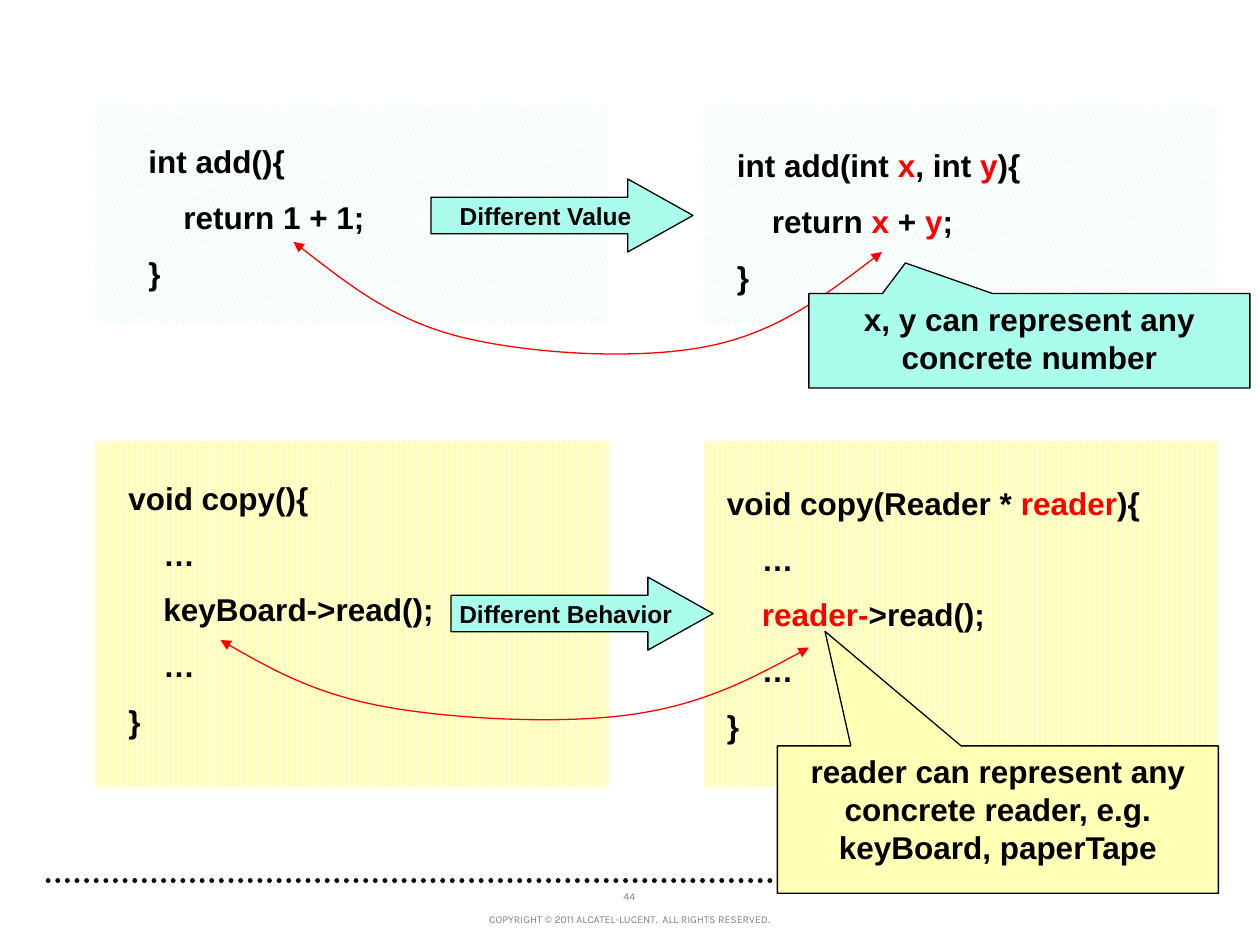
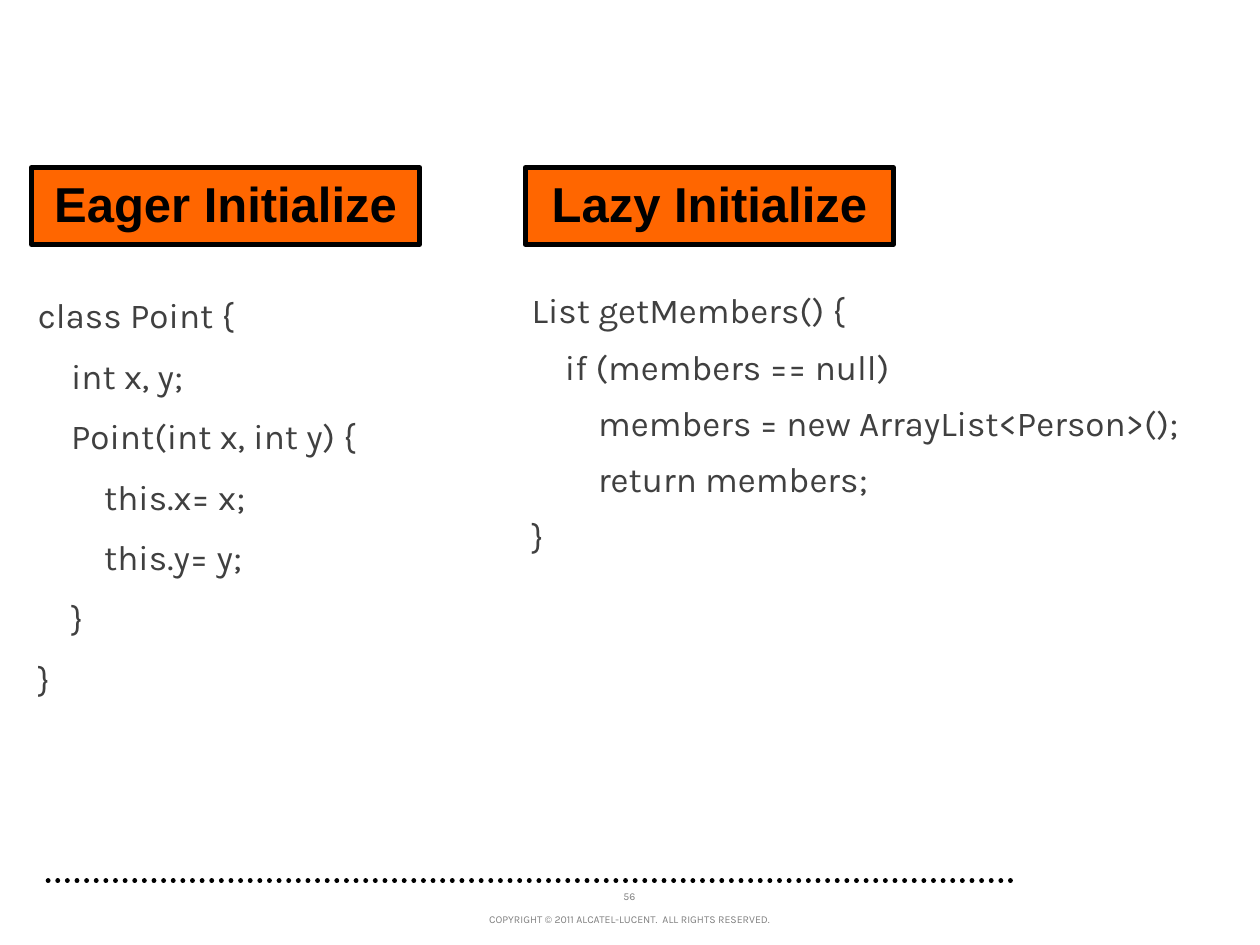
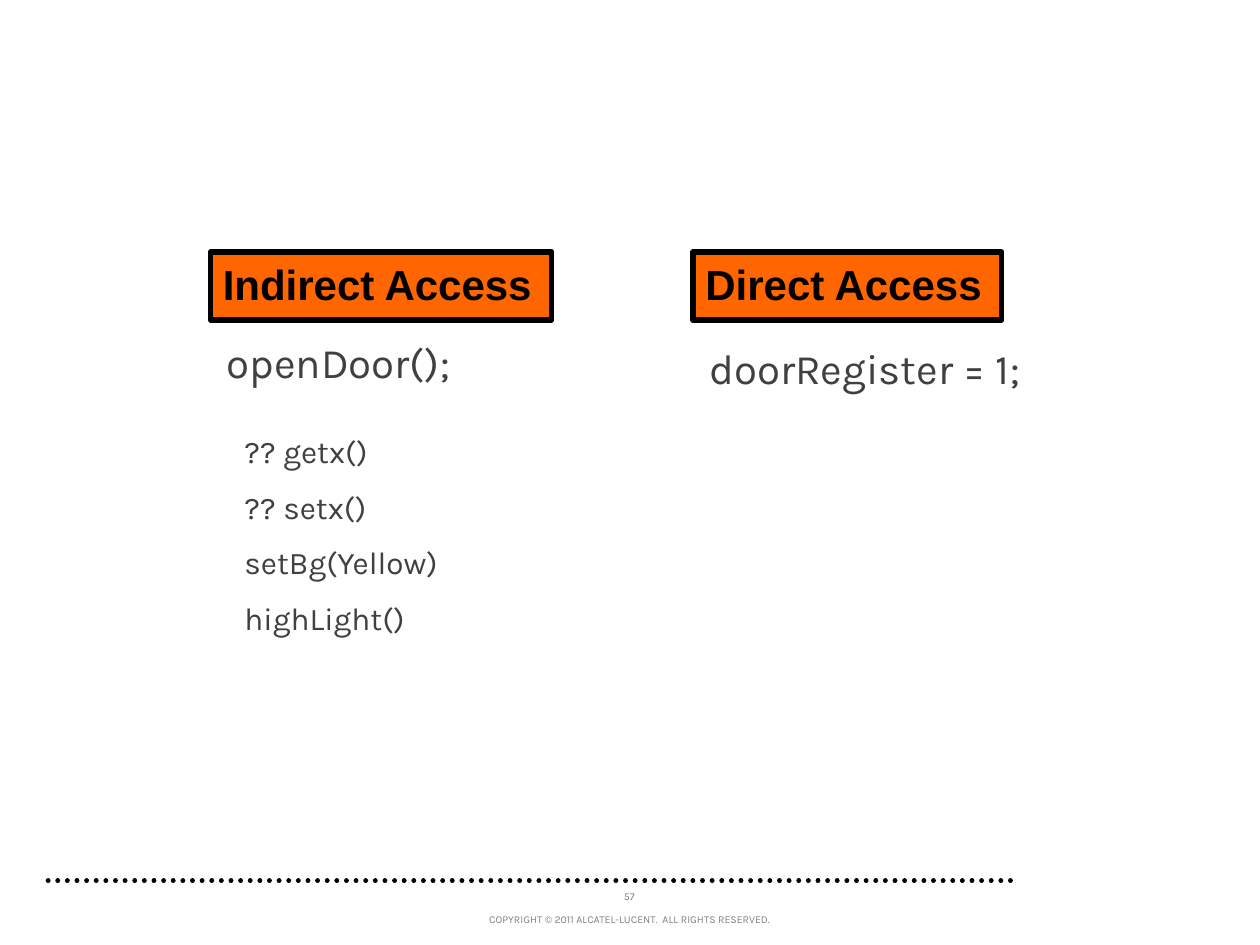
from dataclasses import dataclass

from lxml.etree import SubElement
from pptx import Presentation
from pptx.dml.color import RGBColor
from pptx.enum.dml import MSO_LINE as Dash, MSO_PATTERN as Pattern
from pptx.enum.shapes import MSO_CONNECTOR as Link, MSO_SHAPE as Kind
from pptx.enum.text import MSO_ANCHOR as Anchor, MSO_AUTO_SIZE as Fit, PP_ALIGN as Align
from pptx.oxml.ns import qn
from pptx.util import Inches, Pt


@dataclass(frozen=True)
class Theme:
    black: str = "000000"
    white: str = "FFFFFF"
    red: str = "FF0000"
    aqua: str = "AAFCEC"
    cream: str = "FFFFB5"
    orange: str = "FF6600"
    ink: str = "404040"
    gray: str = "808080"
    bold: str = "Arial"
    plain: str = "Karla"
    tiny: int = 6
    label: int = 14
    code: int = 18
    text: int = 20
    head: int = 24
    big: int = 28
    thin: float = 0.75
    dots: float = 2.75
    thick: int = 3


LEGAL = "COPYRIGHT © 2011 ALCATEL-LUCENT.  ALL RIGHTS RESERVED."
BARE = (0.05, 0, 0, 0)
PAD = (0.1, 0.05, 0.1, 0.05)


def rgb(code):
    return RGBColor.from_string(code)


def span(*sizes):
    return [Inches(size) for size in sizes]


def write(frame, lines, size, color, font, accent=None, bold=False, align=Align.LEFT,
          anchor=Anchor.TOP, gap=0, after=0, lead=None, wrap=True, inset=PAD):
    """Fill a frame, one paragraph a line; parts between bars take the accent."""
    frame.auto_size = Fit.NONE
    frame.word_wrap = wrap
    frame.vertical_anchor = anchor
    (frame.margin_left, frame.margin_top,
     frame.margin_right, frame.margin_bottom) = span(*inset)
    for i, line in enumerate(lines):
        para = frame.add_paragraph() if i else frame.paragraphs[0]
        para.alignment = align
        para.space_before = Pt(gap if i else 0)
        para.space_after = Pt(after)
        if lead:
            para.line_spacing = lead
        for j, part in enumerate(line.split("|")):
            if part:
                run = para.add_run()
                run.text = part
                run.font.size = Pt(size)
                run.font.name = font
                run.font.bold = bold
                run.font.color.rgb = rgb(accent if j % 2 else color)


class Deck:
    def __init__(self, theme):
        self.theme = theme
        self.prs = Presentation()
        self.prs.slide_width, self.prs.slide_height = span(10, 7.5)
        self.slide = None

    def page(self, number, layout="Blank"):
        """Start a slide with its dotted rule, number and copyright line."""
        t = self.theme
        self.slide = self.prs.slides.add_slide(self.prs.slide_layouts.get_by_name(layout))
        title = self.slide.shapes.title
        if title is not None:
            title.element.getparent().remove(title.element)
        self.rule(8.02, 0.34, 6.99)
        foot = dict(size=t.tiny, color=t.gray, font=t.plain, align=Align.CENTER)
        self.box((4.73, 6.95, 0.53, 0.26), [str(number)], anchor=Anchor.BOTTOM, **foot)
        self.box((1.49, 7.2, 7.01, 0.25), [LEGAL], **foot)

    def rule(self, start, end, y):
        t = self.theme
        rule = self.slide.shapes.add_connector(Link.STRAIGHT, *span(start, y, end, y))
        rule.line.color.rgb = rgb(t.black)
        rule.line.width = Pt(t.dots)
        rule.line.dash_style = Dash.ROUND_DOT
        props = rule.element.spPr
        props.find(qn("a:ln")).set("cap", "rnd")
        SubElement(props, qn("a:effectLst"))

    def box(self, at, lines, **form):
        write(self.slide.shapes.add_textbox(*span(*at)).text_frame, lines, **form)

    def code(self, at, lines):
        t = self.theme
        self.box(at, lines, size=t.code, color=t.black, accent=t.red,
                 font=t.bold, bold=True, gap=10.3)

    def look(self, size):
        """Format of the light listings."""
        t = self.theme
        return dict(size=size, color=t.ink, font=t.plain, gap=round(size * 0.23, 1),
                    after=6, inset=BARE)

    def note(self, at, lines, size, **form):
        self.box(at, lines, **self.look(size), **form)

    def body(self, at, lines, size):
        holder = self.slide.placeholders[1]
        holder.left, holder.top, holder.width, holder.height = span(*at)
        write(holder.text_frame, lines, **self.look(size))
        for para in holder.text_frame.paragraphs:
            props = para._p.get_or_add_pPr()
            props.set("marL", "0")
            props.set("indent", "0")
            SubElement(props, qn("a:buNone"))

    def shape(self, kind, at, fill, edge=None, adjust=()):
        shape = self.slide.shapes.add_shape(kind, *span(*at))
        shape.shadow.inherit = False
        for i, value in enumerate(adjust):
            shape.adjustments[i] = value
        shape.fill.solid()
        shape.fill.fore_color.rgb = rgb(fill)
        if edge:
            shape.line.color.rgb = rgb(self.theme.black)
            shape.line.width = Pt(edge)
        else:
            shape.line.fill.background()
        return shape

    def panel(self, at, color, pattern):
        fill = self.shape(Kind.RECTANGLE, at, color).fill
        fill.patterned()
        fill.pattern = pattern
        fill.fore_color.rgb = rgb(color)
        fill.back_color.rgb = rgb(self.theme.white)

    def arrow(self, left, top, text):
        t = self.theme
        arrow = self.shape(Kind.RIGHT_ARROW, (left, top, 2.08, 0.58), t.aqua, t.thin, (0.5, 0.893))
        write(arrow.text_frame, [text], t.label, t.black, t.bold, bold=True,
              align=Align.CENTER, anchor=Anchor.MIDDLE, wrap=False)

    def callout(self, at, text, fill, tip):
        t = self.theme
        call = self.shape(Kind.RECTANGULAR_CALLOUT, at, fill, t.thin, tip)
        write(call.text_frame, [text], t.code, t.black, t.bold, bold=True, align=Align.CENTER)

    def banner(self, at, text, size, **form):
        t = self.theme
        banner = self.shape(Kind.RECTANGLE, at, t.orange, t.thick)
        write(banner.text_frame, [text], size, t.black, t.bold, bold=True, **form)

    def curve(self, start, *points):
        """Draw a two-headed curve; each three points make one cubic segment."""
        t = self.theme
        pen = self.slide.shapes.build_freeform(*span(*start))
        pen.add_line_segments([span(*point) for point in points], close=False)
        curve = pen.convert_to_shape()
        curve.shadow.inherit = False
        curve.fill.background()
        curve.line.color.rgb = rgb(t.red)
        curve.line.width = Pt(t.thin)
        props = curve.element.spPr
        track = next(props.iter(qn("a:path")))
        for i, step in enumerate(track.findall(qn("a:lnTo"))):
            if i % 3 == 0:
                bend = SubElement(track, qn("a:cubicBezTo"))
            bend.append(step[0])
            track.remove(step)
        for end in ("a:headEnd", "a:tailEnd"):
            SubElement(props.find(qn("a:ln")), qn(end), type="triangle")


def values(deck):
    t = deck.theme
    deck.page(44)
    for left in (0.75, 5.58):
        deck.panel((left, 0.83, 4.08, 1.75), t.aqua, Pattern.LARGE_CONFETTI)
        deck.panel((left, 3.5, 4.08, 2.75), t.cream, Pattern.DARK_VERTICAL)
    deck.code((1.08, 1.08, 2.75, 1.3), ["int add(){", "    return 1 + 1;", "}"])
    deck.code((0.92, 3.75, 2.75, 2.21),
              ["void copy(){", "    …", "    keyBoard->read();", "    …", "}"])
    deck.code((5.75, 1.11, 2.75, 1.3),
              ["int add(int |x|, int |y|){", "    return |x| + |y|;", "}"])
    deck.code((5.67, 3.79, 4.08, 2.21),
              ["void copy(Reader * |reader|){", "    …", "    |reader-|>read();", "    …", "}"])
    deck.arrow(3.42, 1.42, "Different Value")
    deck.arrow(3.58, 4.58, "Different Behavior")
    deck.curve((2.33, 1.92), (2.72, 2.22), (3.1, 2.53), (3.64, 2.67), (4.19, 2.81),
               (5.05, 2.86), (5.61, 2.75), (6.17, 2.64), (6.58, 2.32), (7, 2))
    deck.callout((6.42, 2.33, 3.5, 0.75), "x, y can represent any concrete number",
                 t.aqua, (-0.281, -0.824))
    deck.callout((6.17, 5.92, 3.5, 1.17),
                 "reader can represent any concrete reader, e.g. keyBoard, paperTape",
                 t.cream, (-0.392, -1.277))
    deck.curve((1.75, 5.08), (2.13, 5.3), (2.51, 5.51), (3.06, 5.61), (3.61, 5.71),
               (4.47, 5.75), (5.02, 5.67), (5.58, 5.59), (6, 5.37), (6.42, 5.14))


def setup(deck):
    t = deck.theme
    deck.page(56, "Title and Content")
    deck.body((0.25, 2.33, 2.89, 3.68),
              ["class Point {", "    int x, y;", "    Point(int x, int y) {",
               "        this.x= x;", "        this.y= y;", "    }", "}"], t.text)
    deck.note((4.17, 2.33, 5.67, 2.92),
              ["List getMembers() {", "    if (members == null)",
               "        members = new ArrayList<Person>();",
               "        return members;", "}"], t.text, lead=0.9)
    deck.banner((0.25, 1.33, 3.08, 0.61), "Eager Initialize", t.big, align=Align.CENTER)
    deck.banner((4.17, 1.33, 2.92, 0.61), "Lazy Initialize", t.big, align=Align.CENTER)


def access(deck):
    t = deck.theme
    deck.page(57, "Title and Content")
    deck.body((1.89, 3.43, 3.03, 2.67),
              ["?? getx()", "?? setx()", "setBg(Yellow)", "highLight()"], t.code)
    deck.note((1.75, 2.67, 1.92, 0.75), ["openDoor();"], t.head)
    deck.banner((1.67, 2, 2.71, 0.54), "Indirect Access", t.head, wrap=False)
    deck.banner((5.5, 2, 2.45, 0.54), "Direct Access", t.head, wrap=False)
    deck.note((5.58, 2.72, 2.67, 0.53), ["doorRegister = 1;"], t.head)


def main():
    deck = Deck(Theme())
    for build in (values, setup, access):
        build(deck)
    deck.prs.save("out.pptx")


if __name__ == "__main__":
    main()
